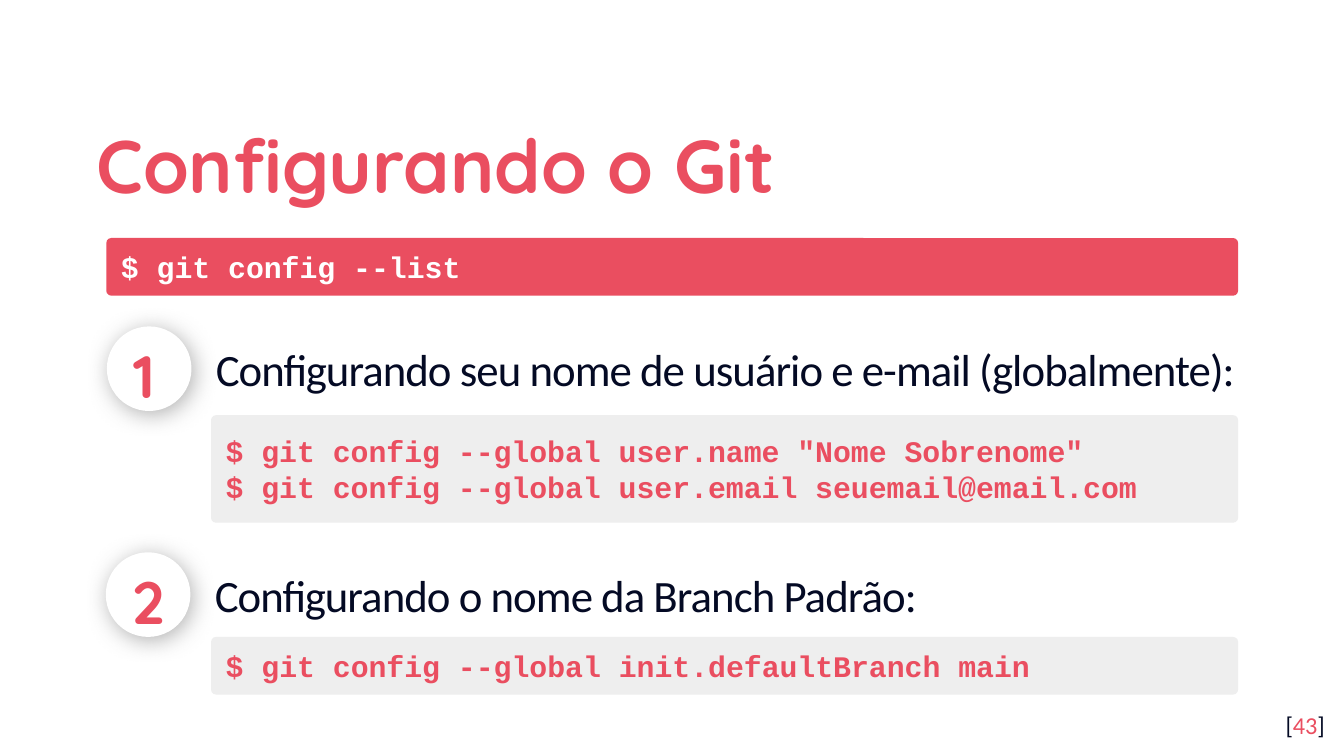
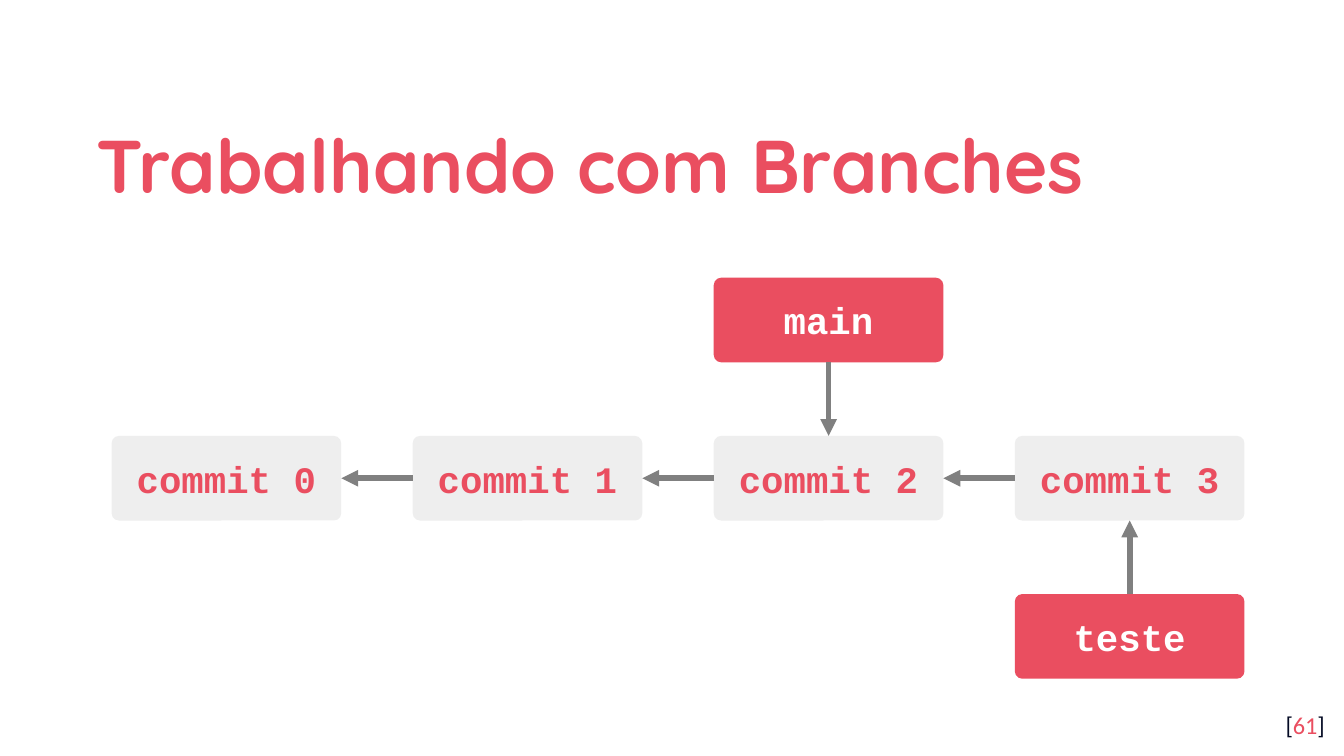
from lxml import etree
from pptx import Presentation
from pptx import util as u
from pptx.dml.color import RGBColor
from pptx.enum import shapes, text
from pptx.oxml import parse_xml
from pptx.oxml.ns import nsdecls, qn

CORAL, NAVY, PALE, GREY, WHITE = "EA4E60", "040A24", "EEEEEE", "808080", "FFFFFF"
TITLE_FONT, BODY_FONT, CODE_FONT = "Quicksand", "Calibri", "Courier New"
LEFT, CENTER, RIGHT = text.PP_ALIGN.LEFT, text.PP_ALIGN.CENTER, text.PP_ALIGN.RIGHT
TOP, MIDDLE = text.MSO_ANCHOR.TOP, text.MSO_ANCHOR.MIDDLE
SITE_TOP, SITE_LEFT, SITE_BOTTOM, SITE_RIGHT = range(4)
CIRCLE = 1.6
CODE_LEFT, CODE_RIGHT, CODE_HEIGHT = 3.99, 23.4, 1.09
CORNER = 0.087


def rgb(color):
    return RGBColor.from_string(color)


def cm(*lengths):
    return [u.Cm(length) for length in lengths]


def write(frame, content, font=BODY_FONT, size=24, color=NAVY, bold=False, align=LEFT,
          anchor=MIDDLE, line_spacing=None, tracking=0, indent=0, inset=None):
    """Fill a frame; content is lines of text or a list of (text, color) runs."""
    frame.word_wrap = True
    frame.auto_size = text.MSO_AUTO_SIZE.NONE
    frame.vertical_anchor = anchor
    if inset is not None:
        frame.margin_left = frame.margin_right = u.Cm(inset)
        frame.margin_top = frame.margin_bottom = u.Cm(inset)
    if isinstance(content, str):
        lines = [[(line, color)] for line in content.split("\n")]
    else:
        lines = [content]
    for number, line in enumerate(lines):
        paragraph = frame.add_paragraph() if number else frame.paragraphs[0]
        paragraph.alignment = align
        if line_spacing:
            paragraph.line_spacing = line_spacing
        if indent:
            paragraph_format = paragraph._p.get_or_add_pPr()
            paragraph_format.set("marL", str(u.Cm(indent)))
            paragraph_format.set("indent", "0")
        for words, run_color in line:
            run = paragraph.add_run()
            run.text = words
            run.font.name, run.font.size, run.font.bold = font, u.Pt(size), bold
            run.font.color.rgb = rgb(run_color)
            if tracking:
                run._r.get_or_add_rPr().set("spc", str(int(tracking * 100)))


class Deck:
    def __init__(self):
        self.presentation = Presentation()
        self.presentation.slide_width, self.presentation.slide_height = cm(25.4, 14.29)
        self.slide = None

    def start_slide(self, title, number):
        self.slide = self.presentation.slides.add_slide(self.presentation.slide_layouts[5])
        heading = self.slide.shapes.title
        heading.left, heading.top, heading.width, heading.height = cm(1.57, 1.8, 21.8, 2.34)
        write(heading.text_frame, title, font=TITLE_FONT, size=40, color=CORAL, bold=True,
              line_spacing=1.15, inset=0.25)
        self.label([("[", NAVY), (str(number), CORAL), ("]", NAVY)],
                   23.77, 13.18, 1.52, 1.09, size=13, align=RIGHT, anchor=TOP)

    def label(self, content, left, top, width, height, **style):
        box = self.slide.shapes.add_textbox(*cm(left, top, width, height))
        write(box.text_frame, content, inset=0.25, **style)

    def filled(self, preset, left, top, width, height, fill):
        shape = self.slide.shapes.add_shape(preset, *cm(left, top, width, height))
        shape.shadow.inherit = False
        shape.fill.solid()
        shape.fill.fore_color.rgb = rgb(fill)
        shape.line.fill.background()
        return shape

    def code(self, command, left, top, width, height=CODE_HEIGHT, fill=PALE, color=CORAL,
             size=16, align=LEFT, corner=CORNER):
        block = self.filled(shapes.MSO_SHAPE.ROUNDED_RECTANGLE, left, top, width, height, fill)
        block.adjustments[0] = corner
        write(block.text_frame, command, font=CODE_FONT, size=size, color=color, bold=True,
              align=align)
        return block

    def badge(self, number, left, top):
        """Draw a step number on a white disc with a soft shadow."""
        disc = self.filled(shapes.MSO_SHAPE.OVAL, left, top, CIRCLE, CIRCLE, WHITE)
        effects = disc._element.spPr.find(qn("a:effectLst"))
        effects.append(parse_xml(
            f'<a:outerShdw {nsdecls("a")} blurRad="{u.Pt(12.4)}" dist="{u.Pt(2.2)}" '
            'dir="3180000" algn="tl" rotWithShape="0"><a:srgbClr val="666666">'
            '<a:alpha val="50000"/></a:srgbClr></a:outerShdw>'))
        self.label(str(number), left + 0.25, top + 0.17, 1.1, 1.27, font=TITLE_FONT,
                   size=32, color=CORAL, bold=True, line_spacing=1.15)

    def step(self, number, instruction, left, top):
        self.badge(number, left, top)
        self.label(instruction, left + 1.61, top + 0.13, 20.15, 1.35,
                   tracking=-0.5, indent=0.2)

    def arrow(self, source, source_site, target, target_site):
        link = self.slide.shapes.add_connector(shapes.MSO_CONNECTOR.STRAIGHT, 0, 0, 0, 0)
        link.begin_connect(source, source_site)
        link.end_connect(target, target_site)
        link.line.color.rgb = rgb(GREY)
        link.line.width = u.Pt(3)
        etree.SubElement(link.line._get_or_add_ln(), qn("a:tailEnd"), type="triangle")
        etree.SubElement(link._element.spPr, qn("a:effectLst"))


def configuration_slide(deck):
    deck.start_slide("Configurando o Git", 43)
    deck.code("$ git config --list", 2.01, 4.5, CODE_RIGHT - 2.01, fill=CORAL, color=WHITE)
    code_width = CODE_RIGHT - CODE_LEFT
    deck.step(1, "Configurando seu nome de usuário e e-mail (globalmente):", 2.02, 6.17)
    deck.code('$ git config --global user.name "Nome Sobrenome"\n'
              "$ git config --global user.email seuemail@email.com",
              CODE_LEFT, 7.85, code_width, height=2.03, corner=CORNER / 2)
    deck.step(2, "Configurando o nome da Branch Padrão:", 2, 10.44)
    deck.code("$ git config --global init.defaultBranch main", CODE_LEFT, 12.04, code_width)


def branches_slide(deck):
    deck.start_slide("Trabalhando com Branches", 61)
    first_left, column_step = 2.11, 5.69
    commit_top, row_step = 8.24, 2.99

    def node(name, column, row=0, **colors):
        return deck.code(name, first_left + column * column_step, commit_top + row * row_step,
                         4.34, height=1.6, size=20, align=CENTER, **colors)

    commits = [node(f"commit {index}", index) for index in range(4)]
    for parent, child in zip(commits, commits[1:]):
        deck.arrow(child, SITE_LEFT, parent, SITE_RIGHT)
    main_branch = node("main", 2, row=-1, fill=CORAL, color=WHITE)
    deck.arrow(main_branch, SITE_BOTTOM, commits[2], SITE_TOP)
    test_branch = node("teste", 3, row=1, fill=CORAL, color=WHITE)
    deck.arrow(test_branch, SITE_TOP, commits[3], SITE_BOTTOM)


def main():
    deck = Deck()
    configuration_slide(deck)
    branches_slide(deck)
    deck.presentation.save("out.pptx")


if __name__ == "__main__":
    main()
